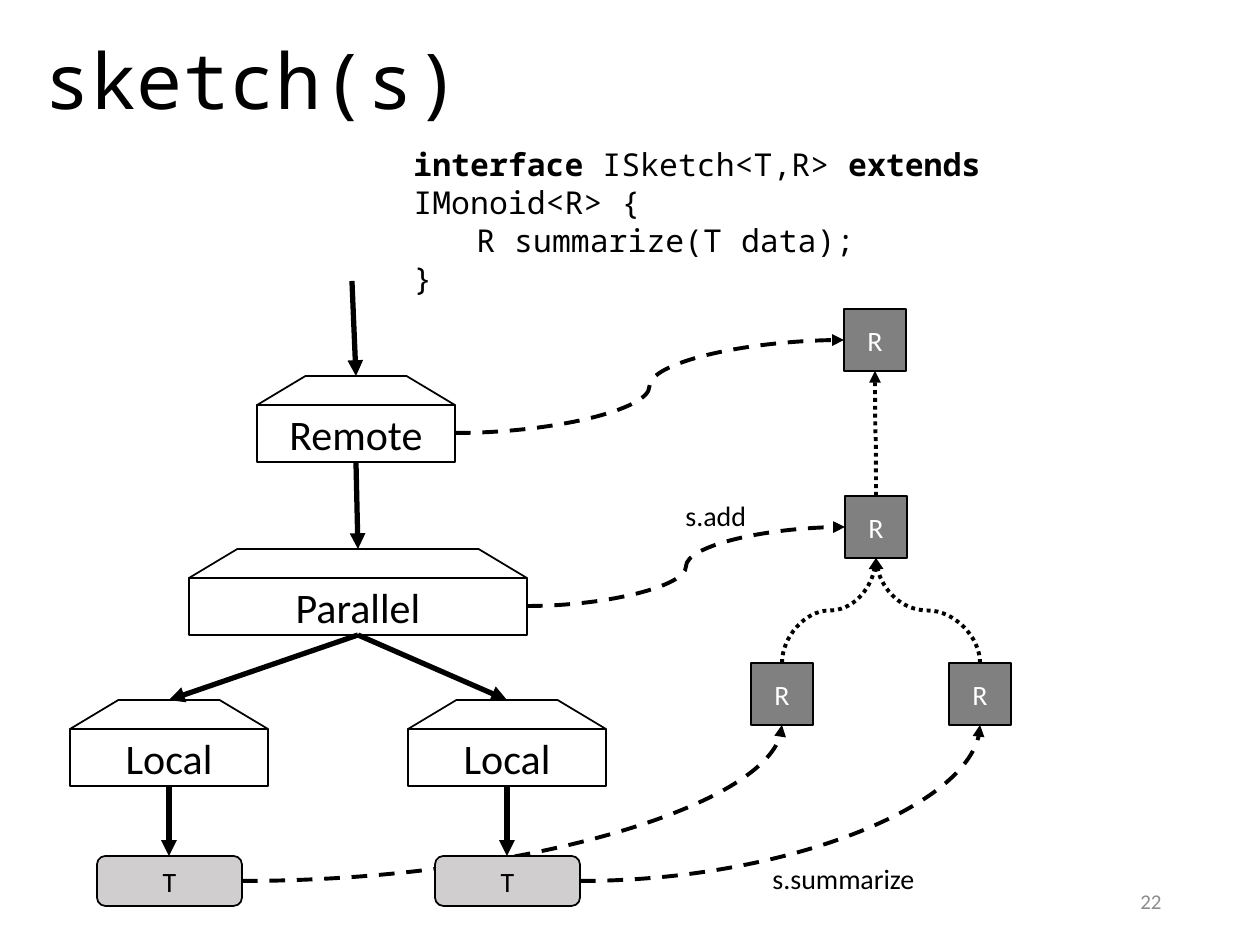
from dataclasses import dataclass

from lxml.etree import SubElement
from pptx import Presentation
from pptx.dml.color import RGBColor
from pptx.enum.dml import MSO_LINE as Dash
from pptx.enum.shapes import MSO_CONNECTOR as Link, MSO_SHAPE as Kind
from pptx.enum.text import MSO_ANCHOR as Anchor, MSO_AUTO_SIZE as Fit, PP_ALIGN as Align
from pptx.oxml.ns import qn
from pptx.util import Emu, Inches, Pt

BLACK = RGBColor(0x00, 0x00, 0x00)
WHITE = RGBColor(0xFF, 0xFF, 0xFF)
GRAY = RGBColor(0x80, 0x80, 0x80)
PALE = RGBColor(0xD0, 0xCE, 0xCE)
FAINT = RGBColor(0x8C, 0x8C, 0x8C)
SANS, MONO = "Calibri", "Noto Sans Mono"
ROOF, WALL = 29, 57
SIDE = 62


def px(n: float) -> Emu:
    return Emu(round(n * 914400 / 126))


@dataclass
class Box:
    text: str
    left: int
    top: int
    width: int
    height: int

    @property
    def mid(self) -> int:
        return self.left + self.width // 2

    @property
    def base(self) -> int:
        return self.top + self.height

    @property
    def right(self) -> int:
        return self.left + self.width

    @property
    def level(self) -> int:
        return self.top + self.height // 2

    @property
    def frame(self) -> tuple:
        return tuple(map(px, (self.left, self.top, self.width, self.height)))


def house(text: str, left: int, top: int, width: int) -> Box:
    return Box(text, left, top, width, ROOF + WALL)


def result(left: int, top: int) -> Box:
    return Box("R", left, top, SIDE, SIDE)


def write(para, text: str, size: int, color=BLACK, face=SANS, bold=False) -> None:
    run = para.add_run()
    run.text = text
    form = {"name": face, "size": Pt(size), "bold": bold}
    for key, value in form.items():
        setattr(run.font, key, value)
    run.font.color.rgb = color


def draw_box(shapes, kind, box: Box, size=16, fill=None, color=BLACK):
    shape = shapes.add_shape(kind, *box.frame)
    shape.shadow.inherit = False
    if fill is None:
        shape.fill.background()
    else:
        shape.fill.solid()
        shape.fill.fore_color.rgb = fill
    shape.line.color.rgb = BLACK
    shape.line.width = Pt(1)
    if box.text:
        form = {"word_wrap": False, "vertical_anchor": Anchor.MIDDLE}
        for key, value in form.items():
            setattr(shape.text_frame, key, value)
        para = shape.text_frame.paragraphs[0]
        para.alignment = Align.CENTER
        write(para, box.text, size, color)
    return shape


def draw_house(shapes, box: Box) -> None:
    """Draw a sloped roof above a labelled wall."""
    roof = Box("", box.left, box.top, box.width, ROOF)
    draw_box(shapes, Kind.TRAPEZOID, roof).adjustments[0] = 1.667
    wall = Box(box.text, box.left, box.top + ROOF, box.width, WALL)
    draw_box(shapes, Kind.RECTANGLE, wall, 24)


def draw_line(shapes, kind, start: tuple, end: tuple, width: float, dash=None):
    line = shapes.add_connector(kind, *map(px, start + end))
    line.line.color.rgb = BLACK
    line.line.width = Pt(width)
    if dash is not None:
        line.line.dash_style = dash
    props = line._element.spPr
    SubElement(props.find(qn("a:ln")), qn("a:tailEnd"), type="triangle")
    SubElement(props, qn("a:effectLst"))
    return line


def draw_arc(shapes, start: tuple, end: tuple) -> None:
    """Draw a dashed quarter curve that leaves sideways and ends upright."""
    line = draw_line(shapes, Link.CURVE, start, end, 2.25, Dash.DASH)
    line._element.spPr.find(qn("a:prstGeom")).set("prst", "curvedConnector2")


def draw_rise(shapes, low: Box, high: Box) -> None:
    """Draw a dotted S curve upward: a sideways one turned by 270 degrees."""
    run, rise = high.mid - low.mid, low.top - high.base
    x, y = (low.mid + high.mid) / 2, (low.top + high.base) / 2
    start, end = (x - rise / 2, y - run / 2), (x + rise / 2, y + run / 2)
    line = draw_line(shapes, Link.CURVE, start, end, 2.25, Dash.ROUND_DOT)
    line._element.spPr.find(qn("a:xfrm")).set("rot", str(270 * 60000))


def add_text(shapes, box: Box, wrap=True, anchor=Anchor.TOP):
    frame = shapes.add_textbox(*box.frame).text_frame
    form = {"word_wrap": wrap, "vertical_anchor": anchor}
    for key, value in form.items():
        setattr(frame, key, value)
    return frame.paragraphs[0]


def add_title(shapes, text: str) -> None:
    title = shapes.title
    spots = zip(("left", "top", "width", "height"), Box("", 32, 16, 1147, 137).frame)
    for key, value in spots:
        setattr(title, key, value)
    form = {"auto_size": Fit.NONE, "vertical_anchor": Anchor.MIDDLE}
    for key, value in form.items():
        setattr(title.text_frame, key, value)
    para = title.text_frame.paragraphs[0]
    para.alignment = Align.LEFT
    para.line_spacing = 0.9
    write(para, text, 44, face=MONO)


def add_code(shapes) -> None:
    para = add_text(shapes, Box("", 401, 139, 777, 127))
    tabs = SubElement(para._p.get_or_add_pPr(), qn("a:tabLst"))
    SubElement(tabs, qn("a:tab"), pos=str(Inches(0.5)), algn="l")
    head = [("interface ", True), ("ISketch<T,R> ", False),
            ("extends ", True), ("IMonoid<R> {", False)]
    for text, bold in head:
        write(para, text, 18, face=MONO, bold=bold)
    for text in ("\tR summarize(T data);", "}"):
        para.add_line_break()
        write(para, text, 18, face=MONO)


def main() -> None:
    deck = Presentation()
    deck.slide_width, deck.slide_height = px(1260), px(945)
    shapes = deck.slides.add_slide(deck.slide_layouts[5]).shapes
    add_title(shapes, "sketch(s)")

    remote = house("Remote", 257, 376, 198)
    whole = house("Parallel", 189, 549, 338)
    locals_ = [house("Local", left, 700, 198) for left in (70, 408)]
    tables = [Box("T", spot.mid - 72, 856, 145, 50) for spot in locals_]
    leaves = [result(left, 663) for left in (751, 949)]
    merged, final = result(845, 496), result(844, 309)

    for box in (remote, whole, *locals_):
        draw_house(shapes, box)
    for table, leaf in zip(tables, leaves):
        draw_arc(shapes, (table.right, table.level), (leaf.mid, leaf.base))
    for box in (*leaves, merged, final):
        draw_box(shapes, Kind.RECTANGLE, box, fill=GRAY, color=WHITE)
    for table in tables:
        draw_box(shapes, Kind.ROUNDED_RECTANGLE, table, fill=PALE)

    draw_line(shapes, Link.STRAIGHT, (352, 281), (remote.mid, remote.top), 3)
    pairs = [(remote, whole), *((whole, spot) for spot in locals_),
             *zip(locals_, tables)]
    for high, low in pairs:
        draw_line(shapes, Link.STRAIGHT, (high.mid, high.base), (low.mid, low.top), 3)
    for low, high in ((leaves[0], merged), (leaves[1], merged), (merged, final)):
        draw_rise(shapes, low, high)
    for box, goal in ((whole, merged), (remote, final)):
        start = (box.right, box.top + ROOF + WALL // 2)
        draw_line(shapes, Link.CURVE, start, (goal.left, goal.level), 2.25, Dash.DASH)

    labels = [(Box("s.add", 673, 492, 222, 47), True),
              (Box("s.summarize", 760, 855, 169, 47), False)]
    for box, wrap in labels:
        write(add_text(shapes, box, wrap), box.text, 16)
    add_code(shapes)
    para = add_text(shapes, Box("", 890, 876, 284, 50), anchor=Anchor.MIDDLE)
    para.alignment = Align.RIGHT
    write(para, "22", 12, FAINT)
    deck.save("out.pptx")


if __name__ == "__main__":
    main()
